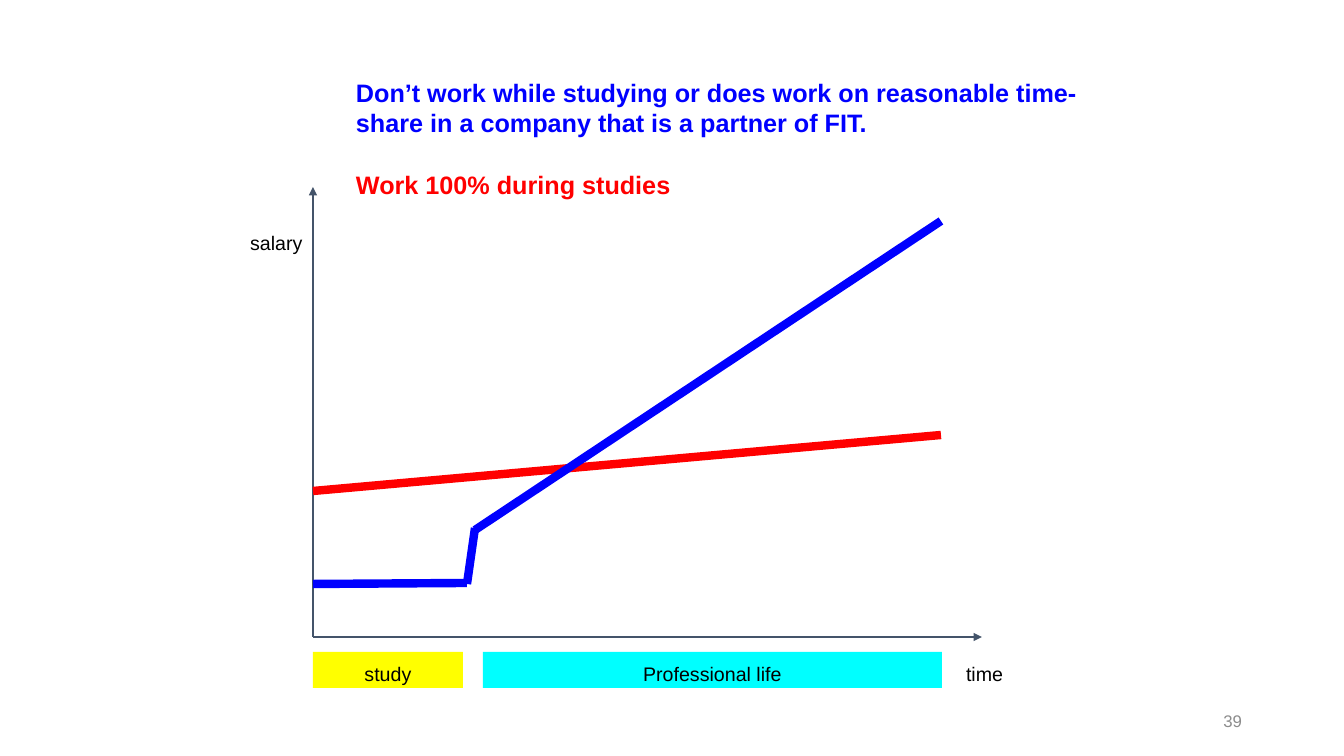
from lxml import etree
from pptx import Presentation
from pptx.dml.color import RGBColor
from pptx.enum.shapes import MSO_CONNECTOR, MSO_SHAPE
from pptx.enum.text import MSO_ANCHOR, PP_ALIGN
from pptx.oxml.ns import qn
from pptx.util import Pt

LINE = MSO_CONNECTOR.STRAIGHT
RECT = MSO_SHAPE.RECTANGLE
TOP, MIDDLE = MSO_ANCHOR.TOP, MSO_ANCHOR.MIDDLE
LEFT, CENTER, RIGHT = PP_ALIGN.LEFT, PP_ALIGN.CENTER, PP_ALIGN.RIGHT

BLACK = RGBColor(0, 0, 0)
GRAY = RGBColor(0x8C, 0x8C, 0x8C)
SLATE = RGBColor(0x44, 0x54, 0x6A)
RED = RGBColor(0xFF, 0, 0)
BLUE = RGBColor(0, 0, 0xFF)
YELLOW = RGBColor(0xFF, 0xFF, 0)
CYAN = RGBColor(0, 0xFF, 0xFF)

SCALE = 914400 / 100.8
ORIGIN_X, ORIGIN_Y = 313, 637
END_X = 941
BAND_Y, BAND_H = 652, 36


def px(*nums):
    return [round(num * SCALE) for num in nums]


def write(shape, text, size=14, color=BLACK, bold=False, align=LEFT,
          anchor=TOP, inset=10):
    frame = shape.text_frame
    frame.word_wrap = True
    frame.vertical_anchor = anchor
    frame.margin_left, frame.margin_right = px(10, 10)
    frame.margin_top, frame.margin_bottom = px(inset, inset)
    para = frame.paragraphs[0]
    para.alignment = align
    run = para.add_run()
    run.text = text
    run.font.name = "Arial"
    run.font.size = Pt(size)
    run.font.bold = bold
    run.font.color.rgb = color


def label(slide, box, text, **style):
    write(slide.shapes.add_textbox(*px(*box)), text, **style)


def band(slide, left, width, fill, text):
    shape = slide.shapes.add_shape(RECT, *px(left, BAND_Y, width, BAND_H))
    shape.shadow.inherit = False
    shape.fill.solid()
    shape.fill.fore_color.rgb = fill
    shape.line.fill.background()
    write(shape, text, align=CENTER)


def line(slide, ends, color, width, arrow=False):
    link = slide.shapes.add_connector(LINE, *px(*ends))
    link.line.color.rgb = color
    link.line.width = Pt(width)
    props = link.element.spPr
    if arrow:
        etree.SubElement(props.find(qn("a:ln")), qn("a:tailEnd"), type="triangle")
    etree.SubElement(props, qn("a:effectLst"))


def main():
    deck = Presentation()
    deck.slide_width, deck.slide_height = px(1344, 756)
    slide = deck.slides.add_slide(deck.slide_layouts[6])

    label(slide, (950, 701, 302, 40), "39", size=12, color=GRAY,
          align=RIGHT, anchor=MIDDLE, inset=5)

    for tip in ((982, ORIGIN_Y), (ORIGIN_X, 187)):
        line(slide, (ORIGIN_X, ORIGIN_Y, *tip), SLATE, 0.75, arrow=True)
    label(slide, (956, BAND_Y, 131, BAND_H), "time")
    label(slide, (240, 221, 81, BAND_H), "salary")

    band(slide, ORIGIN_X, 150, YELLOW, "study")
    band(slide, 483, 459, CYAN, "Professional life")

    for ends, color in (
        ((ORIGIN_X, 491, END_X, 435), RED),
        ((ORIGIN_X, 584, 467, 583), BLUE),
        ((467, 584, 475, 528), BLUE),
        ((475, 530, END_X, 221), BLUE),
    ):
        line(slide, ends, color, 6)

    for top, color, text in (
        (67, BLUE, "Don’t work while studying or does work on reasonable "
                   "time-share in a company that is a partner of FIT."),
        (159, RED, "Work 100% during studies"),
    ):
        label(slide, (346, top, 759, 75), text, size=18, color=color, bold=True)

    deck.save("out.pptx")


if __name__ == "__main__":
    main()
